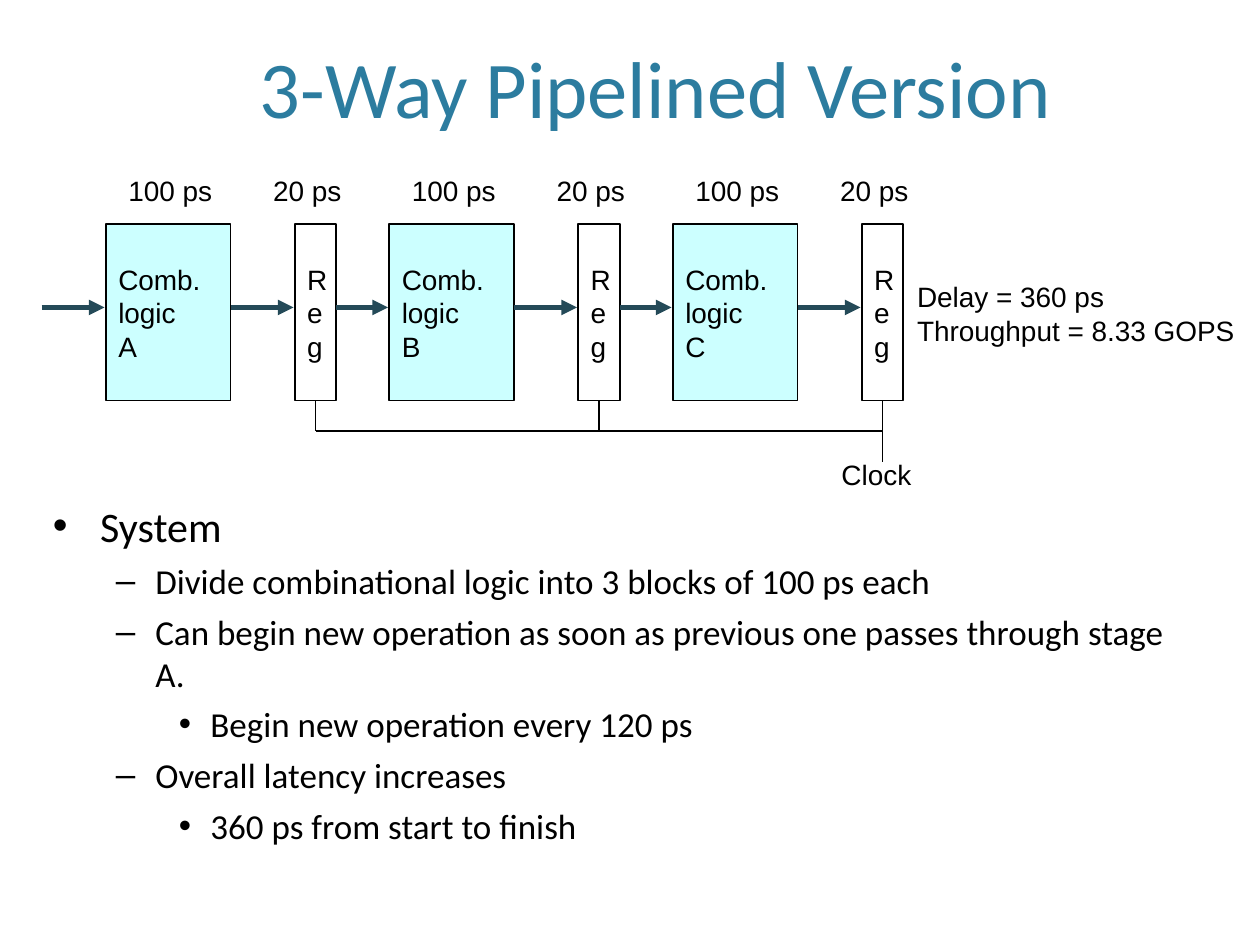
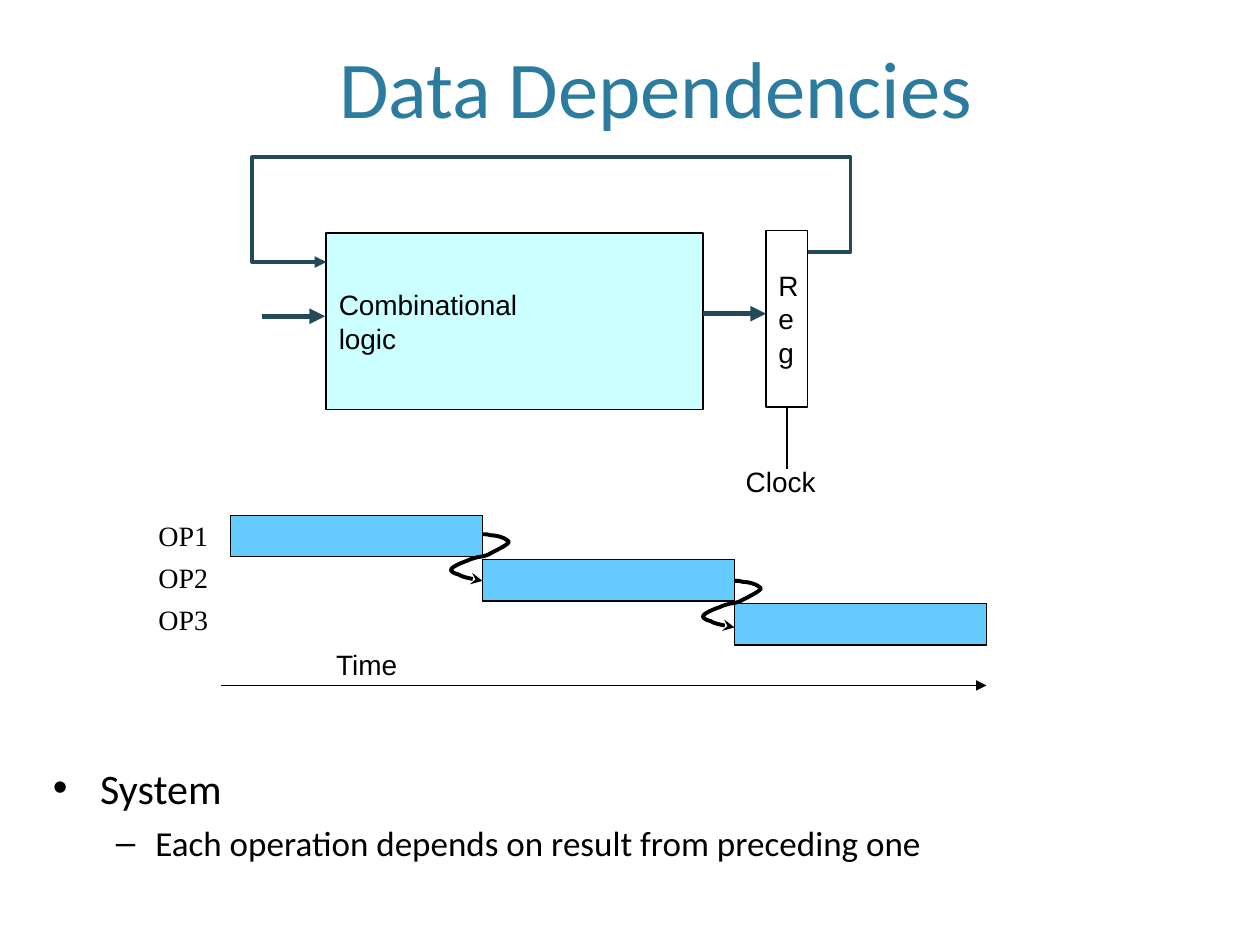
from dataclasses import dataclass

import pptx
import pptx.dml.color
import pptx.enum.shapes
import pptx.enum.text
import pptx.oxml
import pptx.oxml.ns
import pptx.util

PX = 9144  # EMU per px, 100 px to the inch
RGB = pptx.dml.color.RGBColor.from_string
Pt = pptx.util.Pt
ALIGN = pptx.enum.text.PP_ALIGN
ANCHOR = pptx.enum.text.MSO_ANCHOR
AUTOSIZE = pptx.enum.text.MSO_AUTO_SIZE


@dataclass(frozen=True)
class Theme:
    title = RGB("2C7C9F")
    ink = RGB("000000")
    arrow = RGB("244A58")
    logic = RGB("CCFFFF")
    bar = RGB("66CCFF")
    paper = RGB("FFFFFF")
    text_font = "Calibri"
    diagram_font = "Arial"
    op_font = "Times New Roman"
    title_size = 46
    list_sizes = (24, 20, 20)
    list_gaps = (6, 5, 5)
    diagram_size = 16
    thin, bar_edge, loop, thick = 1, 0.75, 2.25, 3


T = Theme()
REG_W, BOX_H = 33, 140
REG_TEXT = ("R", "e", "g")


def emu(*lengths):
    return [pptx.util.Emu(round(n * PX)) for n in lengths]


def add_run(p, text, size, color, font):
    r = p.add_run()
    r.text = text
    r.font.size, r.font.name = Pt(size), font
    r.font.color.rgb = color


def fill_lines(tf, lines, font=T.diagram_font, align=ALIGN.LEFT):
    """Write one unwrapped paragraph per line of diagram text."""
    tf.word_wrap = False
    for i, text in enumerate(lines):
        p = tf.add_paragraph() if i else tf.paragraphs[0]
        p.alignment = align
        add_run(p, text, T.diagram_size, T.ink, font)


def add_rect(slide, x, y, w, h, fill, edge=T.thin):
    sp = slide.shapes.add_shape(pptx.enum.shapes.MSO_SHAPE.RECTANGLE, *emu(x, y, w, h))
    sp.shadow.inherit = False
    sp.fill.solid()
    sp.fill.fore_color.rgb = fill
    if edge:
        sp.line.color.rgb = T.ink
        sp.line.width = Pt(edge)
    else:
        sp.line.fill.background()
    sp.text_frame.vertical_anchor = ANCHOR.MIDDLE
    return sp


def add_block(slide, x, y, w, lines, fill):
    sp = add_rect(slide, x, y, w, BOX_H, fill)
    fill_lines(sp.text_frame, lines)
    return sp


def add_label(slide, x, y, w, *lines, h=36):
    sp = slide.shapes.add_textbox(*emu(x, y, w, h))
    fill_lines(sp.text_frame, lines)
    sp.text_frame.auto_size = AUTOSIZE.SHAPE_TO_FIT_TEXT


def style_line(line, color, width, head=None):
    line.color.rgb = color
    line.width = Pt(width)
    if head:
        ln = line._get_or_add_ln()
        ln.append(pptx.oxml.parse_xml(
            f'<a:tailEnd {pptx.oxml.ns.nsdecls("a")} type="{head}"/>'))


def add_line(slide, x1, y1, x2, y2, color=T.ink, width=T.thin, head=None):
    cx = slide.shapes.add_connector(
        pptx.enum.shapes.MSO_CONNECTOR.STRAIGHT, *emu(x1, y1, x2, y2))
    style_line(cx.line, color, width, head)
    cx._element.spPr.append(
        pptx.oxml.parse_xml(f'<a:effectLst {pptx.oxml.ns.nsdecls("a")}/>'))
    return cx


def add_flow(slide, x1, x2, y):
    add_line(slide, x1, y, x2, y, T.arrow, T.thick, "triangle")


def add_clock_line(slide, reg, x, y1, y2):
    add_line(slide, x, y1, x, y2).begin_connect(reg, 2)


def add_path(slide, points, color, head):
    builder = slide.shapes.build_freeform(*points[0], scale=PX)
    builder.add_line_segments(points[1:], close=False)
    sp = builder.convert_to_shape()
    sp.shadow.inherit = False
    sp.fill.background()
    style_line(sp.line, color, T.loop, head)
    return sp


def curve_path(sp):
    """Turn each three line segments into one Bézier curve."""
    qn = pptx.oxml.ns.qn
    segments = list(sp._element.iter(qn("a:lnTo")))
    for i in range(0, len(segments), 3):
        first, *rest = segments[i:i + 3]
        curve = pptx.oxml.parse_xml(f'<a:cubicBezTo {pptx.oxml.ns.nsdecls("a")}/>')
        first.addprevious(curve)
        for seg in (first, *rest):
            curve.append(seg[0])
            seg.getparent().remove(seg)


def place(sp, x, y, w, h):
    sp.left, sp.top, sp.width, sp.height = emu(x, y, w, h)


def add_base(prs, title, items, list_y, list_h):
    """Add a slide with a title and a list of (level, text) items."""
    slide = prs.slides.add_slide(prs.slide_layouts[1])
    head, body = slide.placeholders
    place(head, 44, 27, 952, 85)
    tf = head.text_frame
    tf.vertical_anchor = ANCHOR.BOTTOM
    tf.auto_size = AUTOSIZE.NONE
    tf.paragraphs[0].alignment = ALIGN.CENTER
    add_run(tf.paragraphs[0], title, T.title_size, T.title, T.text_font)

    place(body, 32, list_y, 907, list_h)
    tf = body.text_frame
    tf.auto_size = AUTOSIZE.NONE
    for i, (level, text) in enumerate(items):
        p = tf.add_paragraph() if i else tf.paragraphs[0]
        p.level = level
        p.space_before = Pt(T.list_gaps[level] if i else 0)
        add_run(p, text, T.list_sizes[level], T.ink, T.text_font)
    return slide


def draw_pipeline(slide, x, y):
    pitch, logic_w = 225, 99
    top, flow_y, bus_y = y + 45, y + 111, y + 209
    stages = "ABC"
    clock_xs = []
    for i, name in enumerate(stages):
        logic_x = x + 51 + i * pitch
        reg_x = logic_x + 150
        clock_x = reg_x + REG_W / 2
        clock_xs.append(clock_x)
        add_label(slide, logic_x + 8, y, 88, "100 ps")
        add_label(slide, reg_x - 27, y, 76, "20 ps")
        add_block(slide, logic_x, top, logic_w, ("Comb.", "logic", name), T.logic)
        reg = add_block(slide, reg_x, top, REG_W, REG_TEXT, T.paper)
        flow_start = logic_x - 42 if i else x
        add_flow(slide, flow_start, logic_x - 1, flow_y)
        add_flow(slide, logic_x + logic_w, reg_x - 1, flow_y)
        last = i == len(stages) - 1
        add_clock_line(slide, reg, clock_x, top + BOX_H, y + 234 if last else bus_y)
    add_line(slide, clock_xs[0], bus_y, clock_xs[-1], bus_y)
    add_label(slide, x + 625, y + 225, 78, "Clock")
    add_label(slide, x + 685, y + 84, 274, "Delay = 360 ps", "Throughput = 8.33 GOPS", h=63)


def draw_feedback(slide, x, y):
    logic_x, logic_w, reg_x = x + 59, 299, x + 408
    reg_right = reg_x + REG_W
    add_block(slide, logic_x, y + 60, logic_w, ("Combinational", "logic"), T.logic)
    reg = add_block(slide, reg_x, y + 58, REG_W, REG_TEXT, T.paper)
    add_flow(slide, x + 8, logic_x - 1, y + 126)
    add_flow(slide, logic_x + logic_w, reg_x, y + 124)
    add_clock_line(slide, reg, reg_x + REG_W / 2, y + 198, y + 247)
    add_label(slide, x + 382, y + 239, 78, "Clock")
    loop = [(reg_right, y + 75), (x + 475, y + 75), (x + 475, y),
            (x, y), (x, y + 83), (logic_x, y + 83)]
    add_path(slide, loop, T.arrow, "triangle")


def draw_timing(slide, x, y):
    bar_w, bar_h = 200, 33
    swirl = [(0, 0), (7, 0), (4, 1), (9, 1), (16, 2), (19, 4), (21, 6),
             (20, 9), (8, 14), (5, 16), (3, 17), (-1, 18), (-3, 18),
             (-6, 19), (-8, 19), (-12, 21), (-15, 22), (-20, 24), (-23, 26),
             (-25, 27), (-25, 28), (-25, 29), (-24, 30), (-23, 31), (-19, 32),
             (-16, 34), (-5, 36), (-2, 37), (0, 36), (0, 36), (0, 37)]
    ops = ("OP1", "OP2", "OP3")
    for i, op in enumerate(ops):
        tag = add_rect(slide, x, y + round(i * 33.5), 92, bar_h, T.paper, edge=None)
        fill_lines(tag.text_frame, [op], T.op_font, ALIGN.RIGHT)
    for i in range(len(ops)):
        bar_x = x + 100 + i * bar_w
        add_rect(slide, bar_x, y + 1 + i * 35, bar_w, bar_h, T.bar, T.bar_edge)
    for i in range(len(ops) - 1):
        start_x, start_y = x + 100 + (i + 1) * bar_w, y + 16 + i * 37
        points = [(start_x + dx, start_y + dy) for dx, dy in swirl]
        curve_path(add_path(slide, points, T.ink, "stealth"))
    add_label(slide, x + 174, y + 101, 71, "Time")
    add_line(slide, x + 92, y + 136, x + 700, y + 136, head="triangle")


def main():
    prs = pptx.Presentation()
    prs.slide_width, prs.slide_height = emu(1000, 750)

    slide = add_base(prs, "3-Way Pipelined Version", [
        (0, "System"),
        (1, "Divide combinational logic into 3 blocks of 100 ps each"),
        (1, "Can begin new operation as soon as previous one passes through stage A."),
        (2, "Begin new operation every 120 ps"),
        (1, "Overall latency increases"),
        (2, "360 ps from start to finish"),
    ], 392, 312)
    draw_pipeline(slide, 33, 133)

    slide = add_base(prs, "Data Dependencies", [
        (0, "System"),
        (1, "Each operation depends on result from preceding one"),
    ], 600, 103)
    draw_feedback(slide, 200, 125)
    draw_timing(slide, 83, 408)

    prs.save("out.pptx")


if __name__ == "__main__":
    main()
